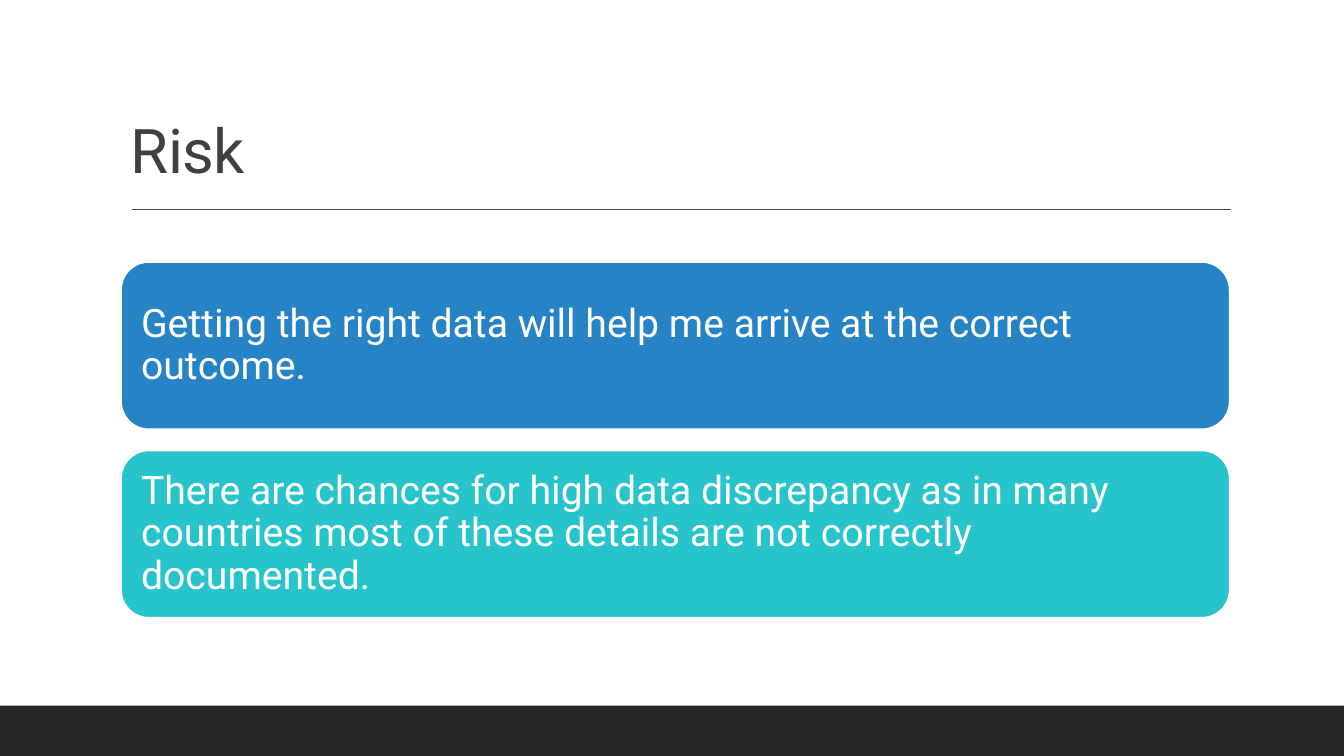
from dataclasses import dataclass

from lxml.etree import SubElement
from pptx import Presentation
from pptx.dml.color import RGBColor as Rgb
from pptx.enum.shapes import MSO_CONNECTOR as Conn, MSO_SHAPE as Kind
from pptx.enum.text import MSO_ANCHOR as Anchor, PP_ALIGN as Align
from pptx.oxml.ns import qn
from pptx.util import Cm, Pt


@dataclass(frozen=True)
class Theme:
    """Colours, font and type sizes of the slide."""
    font: str = "Roboto"
    head: int = 44
    body: int = 28
    ink: str = "404040"
    paper: str = "FFFFFF"
    foot: str = "262626"
    cards: tuple = ("2683C6", "28C4CC")


THEME = Theme()
WIDE, HIGH = 33.87, 19.05
RISKS = (
    "Getting the right data will help me arrive at the correct outcome.",
    "There are chances for high data discrepancy as in many countries "
    "most of these details are not correctly documented.",
)


def tint(hue):
    """Turn a hex string into a colour."""
    return Rgb.from_string(hue)


def write(frame, text, size, hue, anchor):
    """Set one left-aligned paragraph in a text frame."""
    frame.word_wrap = True
    frame.vertical_anchor = anchor
    para = frame.paragraphs[0]
    para.alignment = Align.LEFT
    para.line_spacing = 0.9
    run = para.add_run()
    run.text = text
    run.font.name = THEME.font
    run.font.size = Pt(size)
    run.font.color.rgb = tint(hue)
    return run


def block(slide, kind, box, fill):
    """Add a filled shape with neither shadow nor outline."""
    shape = slide.shapes.add_shape(kind, *map(Cm, box))
    shape.shadow.inherit = False
    shape.fill.solid()
    shape.fill.fore_color.rgb = tint(fill)
    shape.line.fill.background()
    return shape


def header(slide, box, text):
    """Place the title at the foot of the box and a rule below it."""
    left, top, wide, high = box
    title = slide.shapes.add_textbox(*map(Cm, box))
    run = write(title.text_frame, text, THEME.head, THEME.ink, Anchor.BOTTOM)
    run.font._element.set("spc", "-50")
    level = top + high + 0.45
    ends = left + 0.28, level, left + wide + 0.02, level
    rule = slide.shapes.add_connector(Conn.STRAIGHT, *map(Cm, ends))
    rule.line.color.rgb = tint(THEME.ink)
    rule.line.width = Pt(1)
    SubElement(rule._element.spPr, qn("a:effectLst"))


def stack(slide, box, texts, gap=0.53):
    """Fill the box with equal rounded cards, one for each text."""
    left, top, wide, high = box
    tall = (high - gap * (len(texts) - 1)) / len(texts)
    for row, (text, fill) in enumerate(zip(texts, THEME.cards)):
        place = left, top + row * (tall + gap), wide, tall
        card = block(slide, Kind.ROUNDED_RECTANGLE, place, fill)
        card.line.color.rgb = tint(THEME.paper)
        card.line.width = Pt(1.25)
        frame = card.text_frame
        frame.margin_left = frame.margin_right = Cm(0.3)
        frame.margin_top = frame.margin_bottom = Cm(0.3)
        write(frame, text, THEME.body, THEME.paper, Anchor.MIDDLE)


def main():
    """Build the risk slide and save it."""
    deck = Presentation()
    deck.slide_width, deck.slide_height = Cm(WIDE), Cm(HIGH)
    slide = deck.slides.add_slide(deck.slide_layouts[6])
    back = slide.background.fill
    back.solid()
    back.fore_color.rgb = tint(THEME.paper)
    header(slide, (3.05, 0.79, 27.94, 4.04), "Risk")
    block(slide, Kind.RECTANGLE, (0, HIGH - 1.27, WIDE, 1.27), THEME.foot)
    stack(slide, (3.05, 6.6, 27.94, 8.97), RISKS)
    deck.save("out.pptx")


if __name__ == "__main__":
    main()
